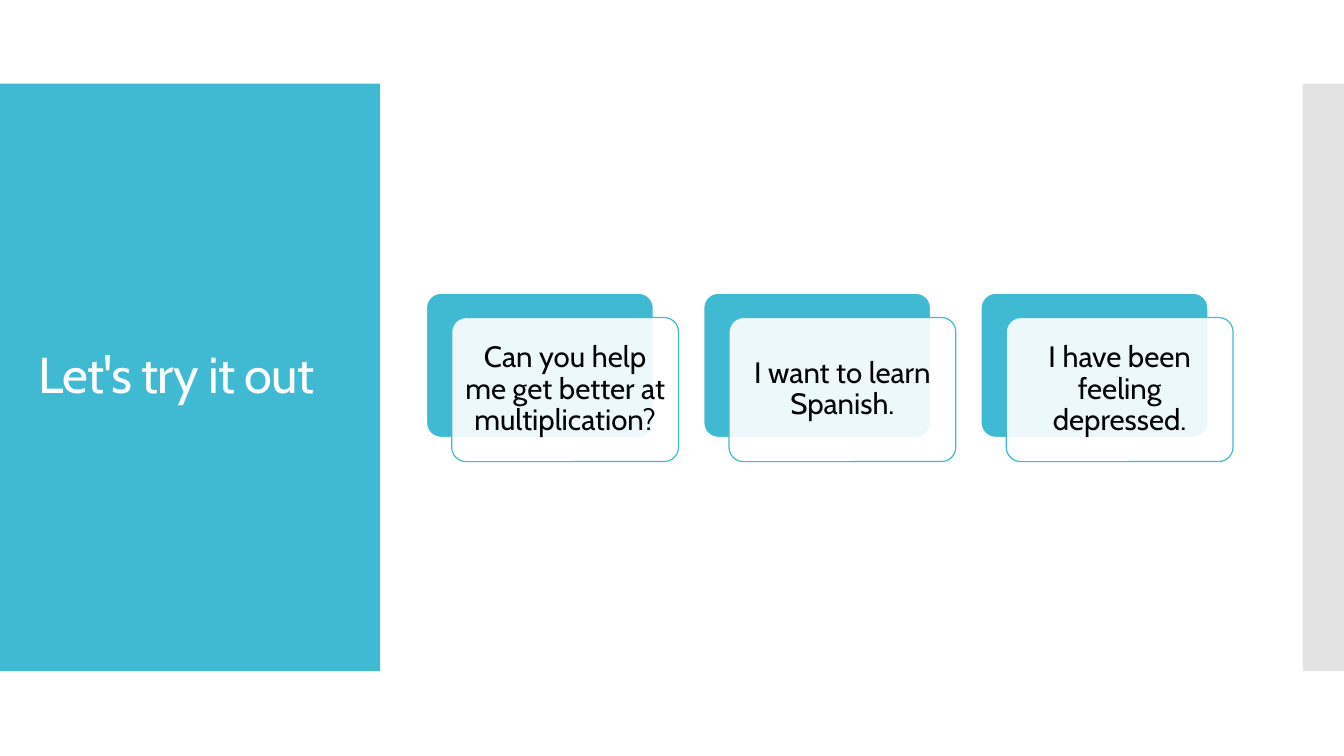
from lxml.etree import SubElement
from pptx import Presentation
from pptx.dml.color import RGBColor
from pptx.enum.shapes import MSO_SHAPE
from pptx.enum.text import MSO_ANCHOR, PP_ALIGN
from pptx.oxml.ns import qn
from pptx.util import Inches, Pt

TEAL, WHITE, GREY, BLACK = "40BAD2", "FFFFFF", "C8C8C8", "000000"
PROMPTS = [
    "Can you help me get better at multiplication?",
    "I want to learn Spanish.",
    "I have been feeling depressed.",
]


def color(hex_string):
    return RGBColor.from_string(hex_string)


class SlideBuilder:
    font_name = "Cabin"

    def __init__(self, slide):
        self.slide = slide

    def block(self, kind, left, top, width, height, fill, opacity=100, line=None):
        shape = self.slide.shapes.add_shape(
            kind, Inches(left), Inches(top), Inches(width), Inches(height))
        shape.shadow.inherit = False
        shape.fill.solid()
        shape.fill.fore_color.rgb = color(fill)
        if opacity < 100:
            fill_color = shape.element.spPr.find(qn("a:solidFill"))[0]
            SubElement(fill_color, qn("a:alpha"), val=str(opacity * 1000))
        if line:
            shape.line.color.rgb = color(line)
            shape.line.width = Pt(0.85)
        else:
            shape.line.fill.background()
        return shape

    def text(self, shape, text, size, text_color, alignment):
        frame = shape.text_frame
        frame.word_wrap = True
        frame.vertical_anchor = MSO_ANCHOR.MIDDLE
        paragraph = frame.paragraphs[0]
        paragraph.text = text
        paragraph.alignment = alignment
        paragraph.line_spacing = 0.9
        paragraph.font.name = self.font_name
        paragraph.font.size = Pt(size)
        paragraph.font.color.rgb = color(text_color)
        return paragraph

    def title(self, text, left, top, width, height):
        title = self.slide.shapes.title
        title.left, title.top = Inches(left), Inches(top)
        title.width, title.height = Inches(width), Inches(height)
        paragraph = self.text(title, text, 36, WHITE, PP_ALIGN.LEFT)
        paragraph.runs[0]._r.get_or_add_rPr().set("spc", "-60")
        # Bring the title in front of the side panel
        title.element.getparent().append(title.element)

    def rounded(self, left, top, fill, line, opacity=100):
        shape = self.block(MSO_SHAPE.ROUNDED_RECTANGLE, left, top, 2.25, 1.43,
                           fill, opacity, line)
        shape.adjustments[0] = 0.1
        return shape

    def prompt_card(self, text, left, top):
        self.rounded(left, top, TEAL, WHITE)
        card = self.rounded(left + 0.25, top + 0.24, WHITE, TEAL, opacity=90)
        frame = card.text_frame
        frame.margin_left = frame.margin_right = Inches(0.08)
        frame.margin_top = frame.margin_bottom = Inches(0.09)
        self.text(card, text, 21, BLACK, PP_ALIGN.CENTER)


def main():
    presentation = Presentation()
    presentation.slide_width = Inches(13.33)
    presentation.slide_height = Inches(7.5)
    builder = SlideBuilder(
        presentation.slides.add_slide(presentation.slide_layouts[5]))

    # Side panels
    builder.block(MSO_SHAPE.RECTANGLE, 0, 0.83, 3.77, 5.83, TEAL)
    builder.block(MSO_SHAPE.RECTANGLE, 12.92, 0.83, 0.41, 5.83, GREY, opacity=50)

    # Title
    builder.title("Let's try it out", 0.28, 1.23, 3.22, 5.03)

    # Row of prompt cards
    for index, prompt in enumerate(PROMPTS):
        builder.prompt_card(prompt, 4.23 + 2.75 * index, 2.91)

    presentation.save("out.pptx")


if __name__ == "__main__":
    main()
